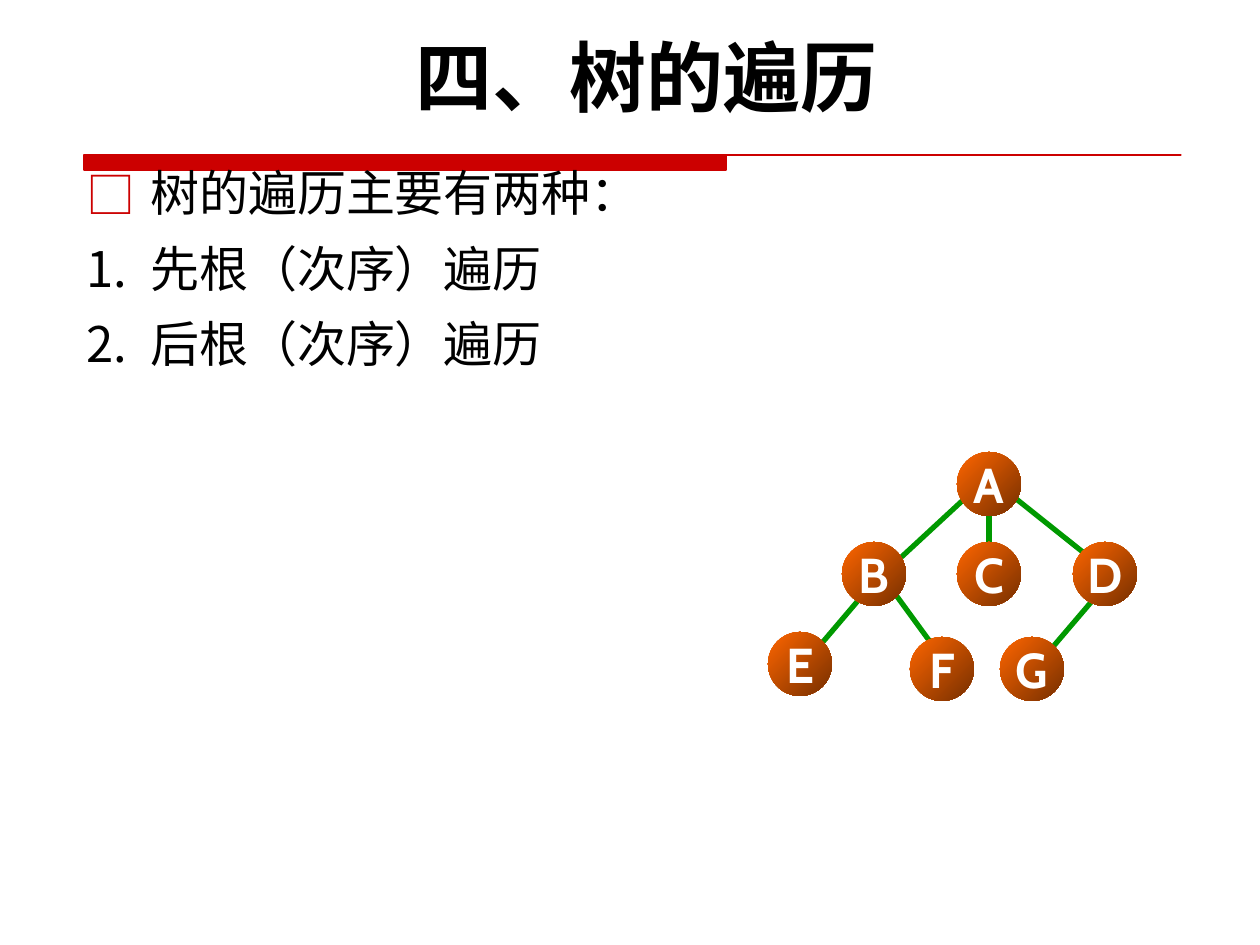
from lxml.etree import SubElement
from pptx import Presentation
from pptx.dml.color import RGBColor
from pptx.enum.shapes import MSO_CONNECTOR, MSO_SHAPE
from pptx.enum.text import MSO_ANCHOR, MSO_AUTO_SIZE, PP_ALIGN
from pptx.oxml.ns import qn
from pptx.util import Emu, Pt

EMU_PER_PX = 914400 / 126
CJK_FONT = "Noto Sans CJK SC"
LATIN_FONT = "Cabin"
RED, GREEN, BLACK, WHITE = "CC0000", "009900", "000000", "FFFFFF"
NODE_SIZE = 64

ITEMS = ["树的遍历主要有两种：", "1.\t先根（次序）遍历", "2.\t后根（次序）遍历"]
NODES = {
    "A": (957, 452),
    "B": (842, 542), "C": (957, 542), "D": (1073, 542),
    "E": (768, 632), "F": (910, 637), "G": (1000, 637),
}
EDGES = [
    (1005, 490, 1084, 553),
    (974, 490, 895, 563),
    (989, 513, 989, 544),
    (879, 576, 822, 643),
    (885, 580, 931, 643),
    (1110, 580, 1052, 648),
]


def px(length):
    return Emu(round(length * EMU_PER_PX))


def color(hex_string):
    return RGBColor.from_string(hex_string)


def format_runs(paragraph, font_name, size, hex_color, bold=False):
    for run in paragraph.runs:
        run.font.name = font_name
        run.font.size = Pt(size)
        run.font.bold = bold
        run.font.color.rgb = color(hex_color)
        properties = run._r.get_or_add_rPr()
        SubElement(properties, qn("a:ea"), typeface=CJK_FONT)


def set_hanging_indent(paragraph, indent):
    properties = paragraph._p.get_or_add_pPr()
    properties.set("marL", str(px(indent)))
    properties.set("indent", str(-px(indent)))
    return properties


def add_square_bullet(properties):
    bullet_color = SubElement(properties, qn("a:buClr"))
    SubElement(bullet_color, qn("a:srgbClr"), val=RED)
    SubElement(properties, qn("a:buFont"), typeface=CJK_FONT)
    SubElement(properties, qn("a:buChar"), char="□")


def set_title(slide, text):
    title = slide.shapes.title
    title.left, title.top, title.width, title.height = px(64), px(23), px(1166), px(106)
    text_frame = title.text_frame
    text_frame.text = text
    text_frame.auto_size = MSO_AUTO_SIZE.NONE
    text_frame.vertical_anchor = MSO_ANCHOR.MIDDLE
    paragraph = text_frame.paragraphs[0]
    paragraph.alignment = PP_ALIGN.CENTER
    format_runs(paragraph, LATIN_FONT, 44, BLACK, bold=True)


def add_title_rule(slide):
    builder = slide.shapes.build_freeform(84, 155, scale=EMU_PER_PX)
    builder.add_line_segments([(1181, 155), (726, 155), (726, 170), (84, 170)])
    rule = builder.convert_to_shape()
    rule.shadow.inherit = False
    rule.fill.solid()
    rule.fill.fore_color.rgb = color(RED)
    rule.line.color.rgb = color(RED)
    rule.line.width = Pt(0.75)


def add_item_list(slide, items):
    box = slide.shapes.add_textbox(px(74), px(169), px(1207), px(567))
    text_frame = box.text_frame
    text_frame.word_wrap = True
    text_frame.margin_top = 0
    text_frame.text = "\n".join(items)
    for index, paragraph in enumerate(text_frame.paragraphs):
        paragraph.line_spacing = 0.9
        paragraph.space_before = Pt(13 if index else 0)
        properties = set_hanging_indent(paragraph, 64)
        if index == 0:
            add_square_bullet(properties)
        format_runs(paragraph, CJK_FONT, 28, BLACK)


def add_edge(group, start_x, start_y, end_x, end_y):
    edge = group.shapes.add_connector(
        MSO_CONNECTOR.STRAIGHT, px(start_x), px(start_y), px(end_x), px(end_y))
    edge.line.color.rgb = color(GREEN)
    edge.line.width = Pt(3)
    SubElement(edge._element.spPr, qn("a:effectLst"))


def add_node(group, label, left, top):
    node = group.shapes.add_shape(
        MSO_SHAPE.OVAL, px(left), px(top), px(NODE_SIZE), px(NODE_SIZE))
    node.shadow.inherit = False
    node.fill.gradient()
    node.fill.gradient_angle = 315
    for stop, hex_color in zip(node.fill.gradient_stops, ("FF6600", "762F00")):
        stop.color.rgb = color(hex_color)
    node.line.fill.background()
    text_frame = node.text_frame
    text_frame.margin_left = text_frame.margin_right = 0
    text_frame.word_wrap = False
    text_frame.vertical_anchor = MSO_ANCHOR.MIDDLE
    text_frame.text = label
    paragraph = text_frame.paragraphs[0]
    paragraph.alignment = PP_ALIGN.CENTER
    format_runs(paragraph, LATIN_FONT, 28, WHITE, bold=True)


def add_tree(slide):
    group = slide.shapes.add_group_shape()
    for edge in EDGES:
        add_edge(group, *edge)
    for label, (left, top) in NODES.items():
        add_node(group, label, left, top)


def main():
    presentation = Presentation()
    presentation.slide_width = px(1260)
    presentation.slide_height = px(945)
    slide = presentation.slides.add_slide(presentation.slide_layouts[5])
    set_title(slide, "四、树的遍历")
    add_title_rule(slide)
    add_item_list(slide, ITEMS)
    add_tree(slide)
    presentation.save("out.pptx")


if __name__ == "__main__":
    main()
